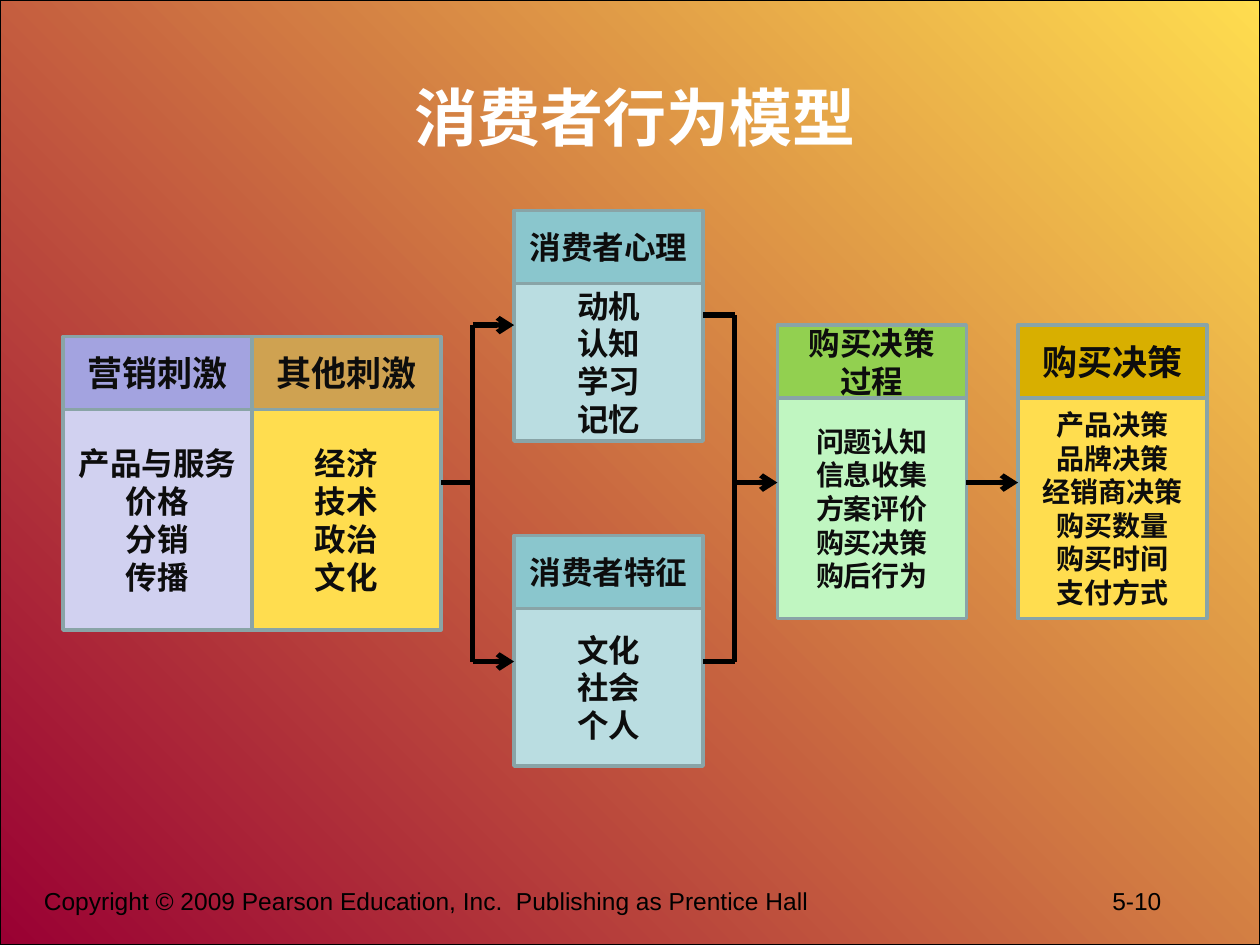
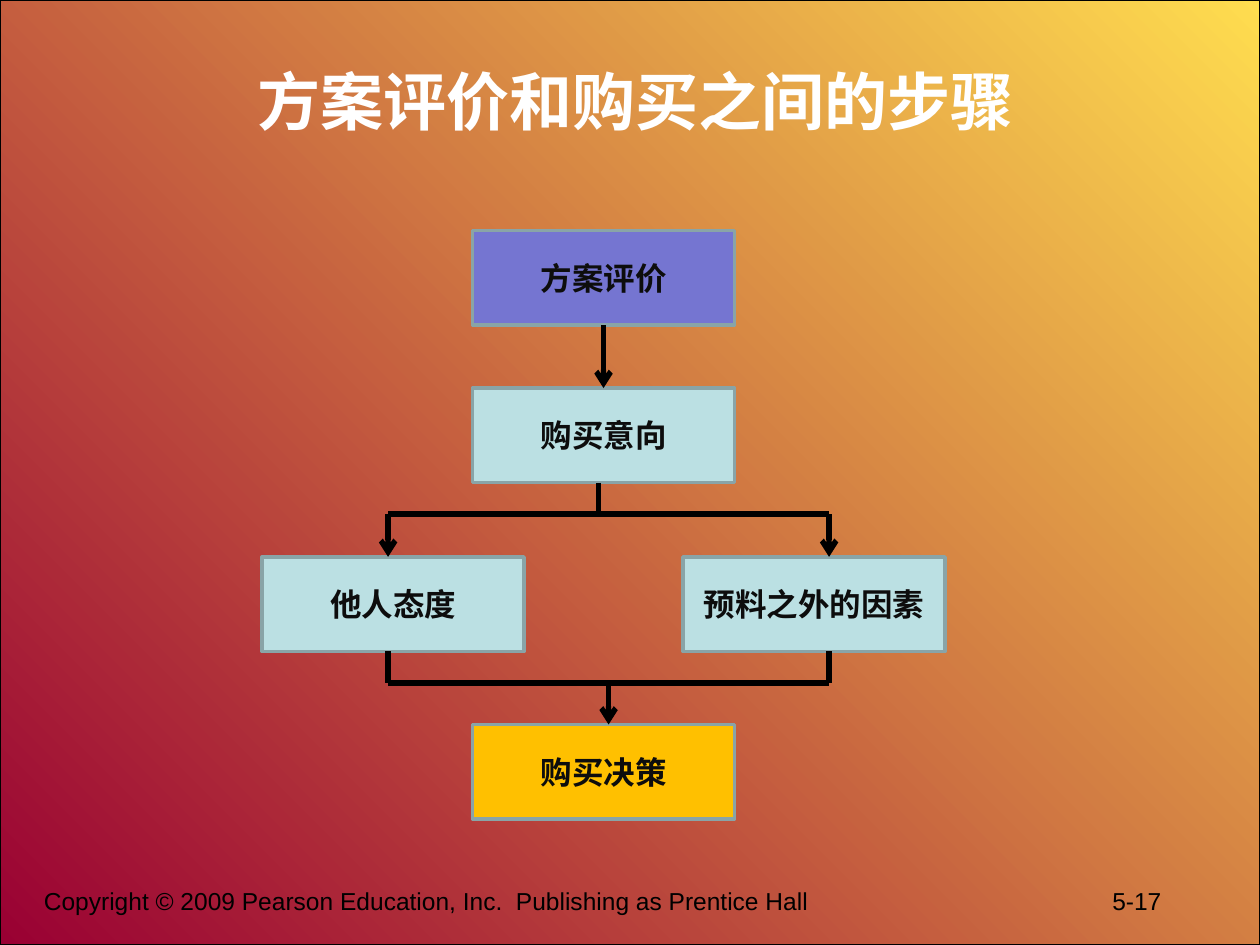
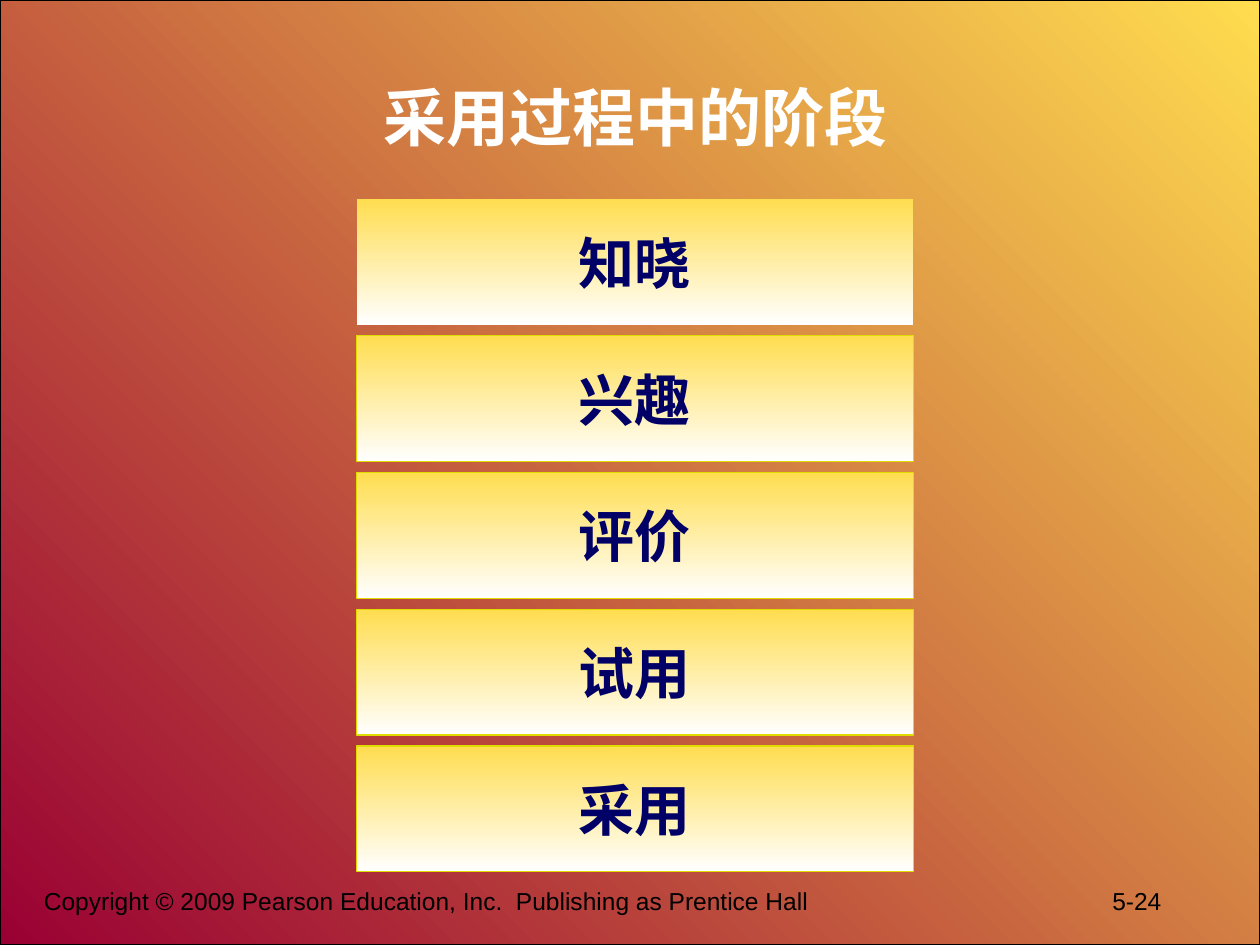
from pptx import Presentation
from pptx.dml.color import RGBColor
from pptx.enum import shapes, text
from pptx.oxml import parse_xml
from pptx.oxml.ns import nsdecls, qn
from pptx.util import Inches, Pt

LATIN, HAN = "Arial", "Noto Sans CJK SC"
HUES = {
    "gold": "FFDD4F", "wine": "990033", "white": "FFFFFF", "black": "000000",
    "ink": "0D0D0D", "navy": "000066", "edge": "89A4A7", "lime": "E1DC00",
    "violet": "A3A3E0", "lilac": "D1D1F0", "tan": "CFA251", "teal": "8AC6CD",
    "mist": "BADDE1", "green": "92D050", "mint": "C0F6C1", "ochre": "D8AF00",
    "indigo": "7575D1", "sky": "BBE0E3", "amber": "FFC000",
}
COPY = "Copyright © 2009 Pearson Education, Inc.  Publishing as Prentice Hall"

# left, top, body height, head hue, head size, head, body hue, body size, body
CARDS = [
    (0.5, 2.67, 1.75, "violet", 20, ["营销刺激"],
     "lilac", 18, ["产品与服务", "价格", "分销", "传播"]),
    (2, 2.67, 1.75, "tan", 20, ["其他刺激"],
     "gold", 18, ["经济", "技术", "政治", "文化"]),
    (4.08, 4.25, 1.25, "teal", 18, ["消费者特征"],
     "mist", 18, ["文化", "社会", "个人"]),
    (4.08, 1.67, 1.25, "teal", 18, ["消费者心理"],
     "mist", 18, ["动机", "认知", "学习", "记忆"]),
    (6.17, 2.58, 1.75, "green", 18, ["购买决策", "过程"],
     "mint", 16, ["问题认知", "信息收集", "方案评价", "购买决策", "购后行为"]),
    (8.08, 2.58, 1.75, "ochre", 20, ["购买决策"],
     "gold", 16, ["产品决策", "品牌决策", "经销商决策", "购买数量", "购买时间", "支付方式"]),
]
CARD_W, HEAD_H = 1.5, 0.58
# x1, y1, x2, y2, arrow at the end
FLOW = [
    (3.5, 3.83, 3.75, 3.83, False), (3.75, 5.25, 3.75, 2.58, False),
    (3.75, 2.58, 4.08, 2.58, True), (3.75, 5.25, 4.08, 5.25, True),
    (5.58, 2.5, 5.83, 2.5, False), (5.58, 5.25, 5.83, 5.25, False),
    (5.83, 2.5, 5.83, 5.25, False), (5.83, 3.83, 6.17, 3.83, True),
    (7.67, 3.83, 8.08, 3.83, True),
]

STEPS = [
    (3.75, 1.83, "indigo", "方案评价"), (3.75, 3.08, "sky", "购买意向"),
    (5.42, 4.42, "sky", "预料之外的因素"), (2.08, 4.42, "sky", "他人态度"),
    (3.75, 5.75, "amber", "购买决策"),
]
STEP_W, STEP_H = 2.08, 0.75
FORKS = [
    (4.79, 2.58, 4.79, 3.08, True), (4.75, 3.83, 4.75, 4.08, False),
    (3.08, 4.08, 6.58, 4.08, False), (3.08, 4.08, 3.08, 4.42, True),
    (6.58, 4.08, 6.58, 4.42, True), (3.08, 5.17, 3.08, 5.42, False),
    (6.58, 5.17, 6.58, 5.42, False), (3.08, 5.42, 6.58, 5.42, False),
    (4.83, 5.42, 4.83, 5.75, True),
]

STAGES = ["知晓", "兴趣", "评价", "试用", "采用"]
STAGE_TOP, STAGE_STEP = 1.58, 1.085


def rgb(name):
    return RGBColor.from_string(HUES[name])


def write(shape, lines, size, hue="ink", bold=True, font=LATIN,
          align=text.PP_ALIGN.CENTER, anchor=text.MSO_ANCHOR.MIDDLE):
    frame = shape.text_frame
    frame.word_wrap = True
    frame.vertical_anchor = anchor
    for i, line in enumerate(lines):
        para = frame.add_paragraph() if i else frame.paragraphs[0]
        para.alignment = align
        if len(lines) > 1:
            para.line_spacing = Pt(size * 1.2)
        run = para.add_run()
        run.text = line
        run.font.size, run.font.bold, run.font.name = Pt(size), bold, font
        run.font.color.rgb = rgb(hue)
        east = run.font._element.makeelement(qn("a:ea"), {"typeface": HAN})
        run.font._element.find(qn("a:latin")).addnext(east)


def box(slide, at, fill, edge=None, width=2.0, angle=0):
    """Add a rectangle; a pair of hues as fill makes a gradient."""
    shape = slide.shapes.add_shape(shapes.MSO_SHAPE.RECTANGLE, *map(Inches, at))
    shape.shadow.inherit = False
    if isinstance(fill, tuple):
        shape.fill.gradient()
        shape.fill.gradient_angle = angle
        for stop, hue in zip(shape.fill.gradient_stops, fill):
            stop.color.rgb = rgb(hue)
    else:
        shape.fill.solid()
        shape.fill.fore_color.rgb = rgb(fill)
    if edge:
        shape.line.color.rgb = rgb(edge)
        shape.line.width = Pt(width)
    else:
        shape.line.fill.background()
    return shape


def link(slide, x1, y1, x2, y2, arrow):
    line = slide.shapes.add_connector(
        shapes.MSO_CONNECTOR.STRAIGHT, *map(Inches, (x1, y1, x2, y2)))
    line.line.color.rgb = rgb("black")
    line.line.width = Pt(3)
    if arrow:
        line.line._get_or_add_ln().append(
            parse_xml(f'<a:tailEnd {nsdecls("a")} type="arrow"/>'))
    line._element.spPr.append(parse_xml(f'<a:effectLst {nsdecls("a")}/>'))


def page(deck, title, number, top=0.3):
    """Add a slide with the shared backdrop, footer and title."""
    slide = deck.slides.add_slide(deck.slide_layouts[6])
    box(slide, (0, 0, 10, 7.5), ("gold", "wine"), "black", 0.75, angle=225)
    foot = slide.shapes.add_textbox(*map(Inches, (0.25, 6.98, 9.33, 0.52)))
    props = foot.text_frame.paragraphs[0]._p.get_or_add_pPr()
    props.append(parse_xml(
        f'<a:tabLst {nsdecls("a")}><a:tab pos="{Inches(8.48)}" algn="l"/></a:tabLst>'))
    write(foot, [f"{COPY}\t{number}"], 14, "black", False,
          align=text.PP_ALIGN.LEFT, anchor=text.MSO_ANCHOR.TOP)
    head = slide.shapes.add_textbox(*map(Inches, (0.83, top, 8.42, 1.25)))
    write(head, [title], 36, "white", font=HAN)
    return slide


def model(deck):
    slide = page(deck, "消费者行为模型", "5-10")
    for x, y, tall, hue, size, head, tint, small, body in CARDS:
        write(box(slide, (x, y, CARD_W, HEAD_H), hue, "edge"), head, size)
        write(box(slide, (x, y + HEAD_H, CARD_W, tall), tint, "edge"), body, small)
    for part in FLOW:
        link(slide, *part)


def choice(deck):
    slide = page(deck, "方案评价和购买之间的步骤", "5-17", top=0.17)
    for x, y, hue, label in STEPS:
        write(box(slide, (x, y, STEP_W, STEP_H), hue, "edge"), [label], 18)
    for part in FORKS:
        link(slide, *part)


def adoption(deck):
    slide = page(deck, "采用过程中的阶段", "5-24")
    for i, label in enumerate(STAGES):
        bar = box(slide, (2.83, STAGE_TOP + i * STAGE_STEP, 4.42, 1),
                  ("gold", "white"), "lime" if i else None, 0.75, angle=270)
        write(bar, [label], 32, "navy")


def main():
    deck = Presentation()
    deck.slide_width, deck.slide_height = Inches(10), Inches(7.5)
    model(deck)
    choice(deck)
    adoption(deck)
    deck.save("out.pptx")


if __name__ == "__main__":
    main()
